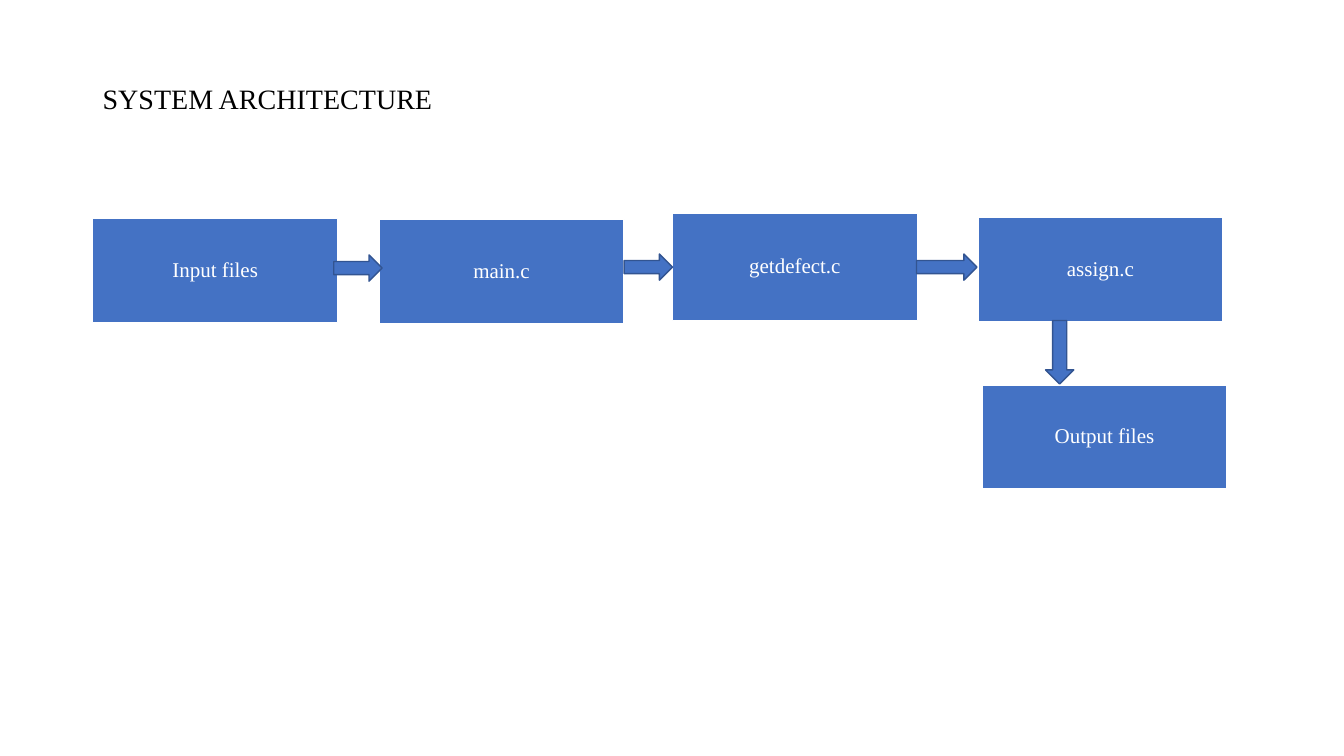
"""Build the system architecture slide: a chain of files joined by block arrows."""
from dataclasses import dataclass

from pptx import Presentation
from pptx.dml.color import RGBColor
from pptx.enum.shapes import MSO_SHAPE as Preset
from pptx.enum.text import MSO_ANCHOR as Anchor, PP_ALIGN as Align
from pptx.shapes.autoshape import Shape
from pptx.slide import Slide
from pptx.util import Emu, Pt

EMU_PER_PX = 9144
FONT = "Times New Roman"
BLUE, DARK_BLUE, WHITE, BLACK = "4472C4", "325491", "FFFFFF", "000000"
STAGE_WIDTH, STAGE_INSET = 243, 6
ARROW_HEIGHT = 26


@dataclass(frozen=True)
class Stage:
    """A labelled box in the flow."""
    label: str
    left: int
    top: int
    height: int = 103


@dataclass(frozen=True)
class Arrow:
    """A block arrow between two stages."""
    left: int
    top: int
    width: int
    height: int = ARROW_HEIGHT
    preset: Preset = Preset.RIGHT_ARROW


STAGES = [
    Stage("Input files", 92, 217),
    Stage("main.c", 376, 218),
    Stage("getdefect.c", 667, 212, 106),
    Stage("assign.c", 970, 216),
    Stage("Output files", 974, 382),
]
ARROWS = [
    Arrow(1037, 318, 28, 63, Preset.DOWN_ARROW),
    Arrow(331, 253, 48),
    Arrow(619, 252, 48),
    Arrow(909, 252, 60),
]


def px(length: int) -> Emu:
    """Turn px into EMU."""
    return Emu(length * EMU_PER_PX)


def rgb(color: str) -> RGBColor:
    """Turn a hex string into a colour."""
    return RGBColor.from_string(color)


def add_block(slide: Slide, preset: Preset, left: int, top: int,
              width: int, height: int, outline: str) -> Shape:
    """Add a blue preset shape with a thin outline."""
    block = slide.shapes.add_shape(preset, px(left), px(top), px(width), px(height))
    block.shadow.inherit = False
    block.fill.solid()
    block.fill.fore_color.rgb = rgb(BLUE)
    block.line.color.rgb = rgb(outline)
    block.line.width = Pt(1)
    return block


def write(shape: Shape, text: str, size: int, color: str, align: Align) -> None:
    """Write one vertically centred paragraph into a shape."""
    frame = shape.text_frame
    frame.word_wrap = True
    frame.vertical_anchor = Anchor.MIDDLE
    paragraph = frame.paragraphs[0]
    paragraph.text = text
    paragraph.alignment = align
    paragraph.line_spacing = 0.9
    paragraph.font.name = FONT
    paragraph.font.size = Pt(size)
    paragraph.font.color.rgb = rgb(color)


def add_stage(slide: Slide, stage: Stage) -> None:
    """Draw a stage box with its label."""
    box = add_block(slide, Preset.RECTANGLE, stage.left, stage.top,
                    STAGE_WIDTH, stage.height, WHITE)
    frame = box.text_frame
    frame.margin_left = frame.margin_right = px(STAGE_INSET)
    frame.margin_top = frame.margin_bottom = px(STAGE_INSET)
    write(box, stage.label, 15, WHITE, Align.CENTER)


def add_arrow(slide: Slide, arrow: Arrow) -> None:
    """Draw a block arrow."""
    add_block(slide, arrow.preset, arrow.left, arrow.top,
              arrow.width, arrow.height, DARK_BLUE)


def main() -> None:
    """Build and save the slide."""
    deck = Presentation()
    deck.slide_width, deck.slide_height = px(1333), px(750)
    slide = deck.slides.add_slide(deck.slide_layouts[6])
    title = slide.shapes.add_textbox(px(92), px(27), px(1150), px(145))
    write(title, "SYSTEM ARCHITECTURE", 20, BLACK, Align.LEFT)
    for stage in STAGES:
        add_stage(slide, stage)
    for arrow in ARROWS:
        add_arrow(slide, arrow)
    deck.save("out.pptx")


if __name__ == "__main__":
    main()
